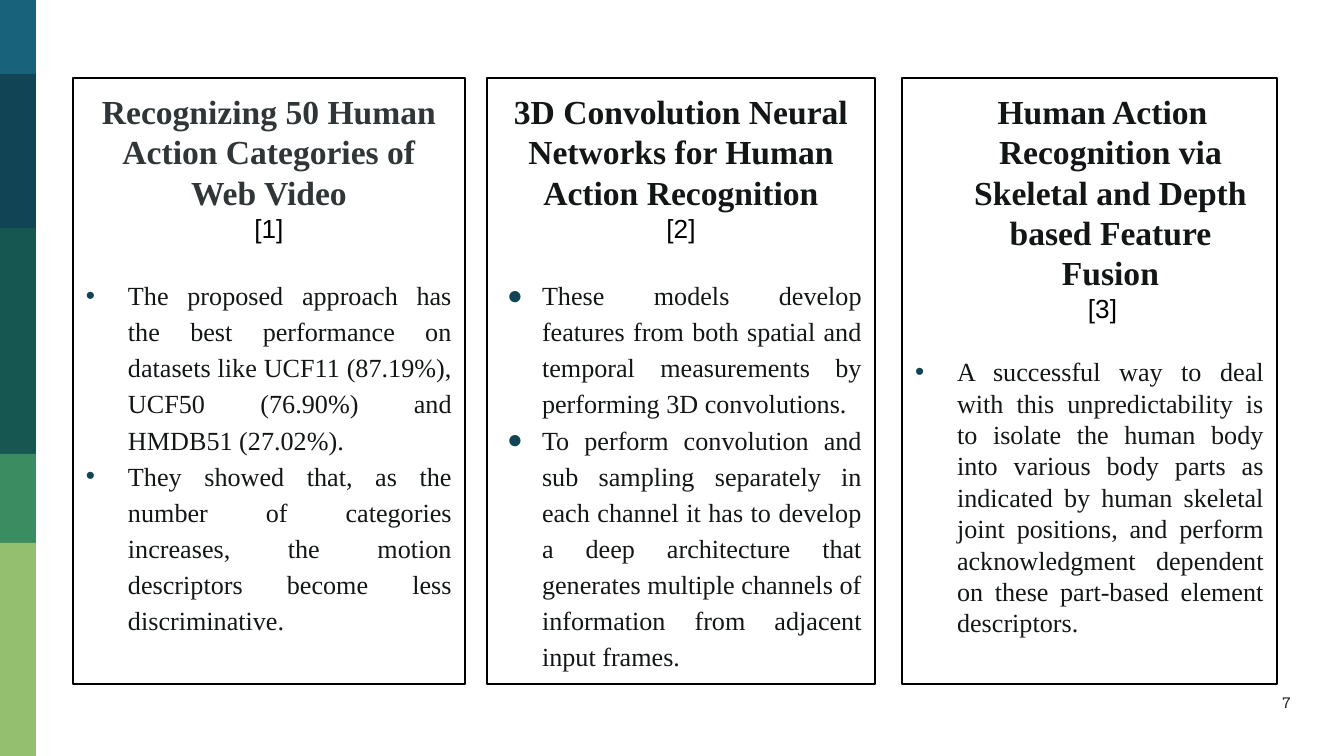
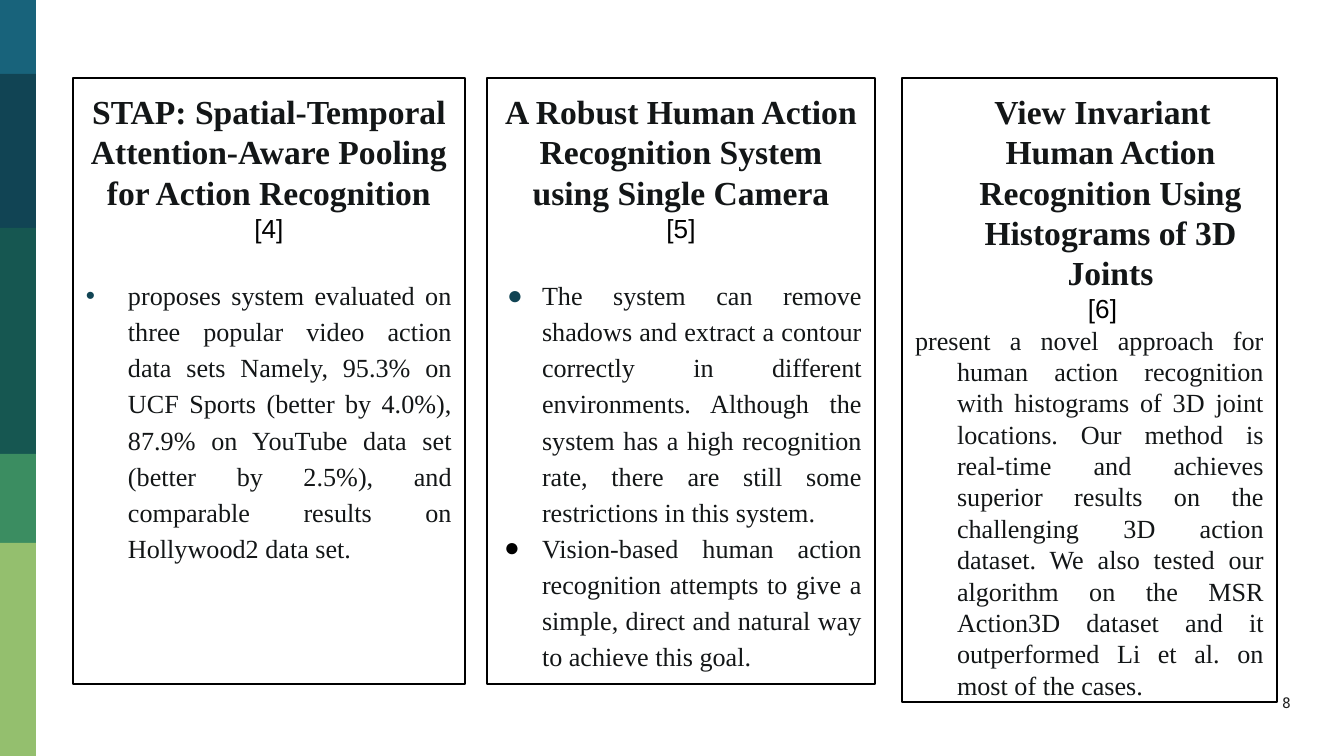
import pptx
import pptx.util
import pptx.dml.color
import pptx.enum.shapes
import pptx.enum.text
import lxml.etree
from dataclasses import dataclass

RGB = pptx.dml.color.RGBColor
ALIGN = pptx.enum.text.PP_ALIGN

EMU_PER_PX = 914400 / 134.4
PAGE_WIDTH, PAGE_HEIGHT = 1344, 756

BLACK = RGB(0x00, 0x00, 0x00)
INK = RGB(0x13, 0x16, 0x17)
SLATE = RGB(0x30, 0x36, 0x38)
NUMBER_GREY = RGB(0x22, 0x22, 0x22)
NAVY = RGB(0x11, 0x44, 0x54)

# Side bands: top edge and colour; each runs down to the next
BAND_WIDTH = 36
BANDS = [
    (0, RGB(0x18, 0x63, 0x7B)),
    (74, NAVY),
    (228, RGB(0x16, 0x57, 0x51)),
    (454, RGB(0x3B, 0x8D, 0x61)),
    (543, RGB(0x94, 0xBF, 0x6E)),
]

# Paper columns: left edge, width, first-line indent of the heading, line spacing
CARD_TOP, CARD_HEIGHT, INSET, HANG = 78, 606, 13, 42
COLUMNS = [(73, 392, 0, 1.15), (487, 388, 0, 1.15), (902, 375, -16, 1.0)]


@dataclass
class Point:
    text: str
    bullet: str = "•"
    indent: int = -HANG
    color: RGB = NAVY


@dataclass
class Paper:
    title: str
    points: list
    title_color: RGB = INK
    height: int = CARD_HEIGHT


def px(length):
    return pptx.util.Emu(round(length * EMU_PER_PX))


class Deck:
    def __init__(self):
        self.deck = pptx.Presentation()
        self.deck.slide_width = px(PAGE_WIDTH)
        self.deck.slide_height = px(PAGE_HEIGHT)
        self.page = None

    def add_page(self):
        self.page = self.deck.slides.add_slide(self.deck.slide_layouts[6])
        bottoms = [top for top, _ in BANDS[1:]] + [PAGE_HEIGHT]
        for (top, color), bottom in zip(BANDS, bottoms):
            band = self.rectangle(0, top, BAND_WIDTH, bottom - top)
            band.fill.solid()
            band.fill.fore_color.rgb = color
            band.line.fill.background()

    def rectangle(self, left, top, width, height):
        box = self.page.shapes.add_shape(
            pptx.enum.shapes.MSO_SHAPE.RECTANGLE,
            px(left), px(top), px(width), px(height))
        box.shadow.inherit = False
        return box

    def prepare(self, frame):
        frame.word_wrap = True
        frame.vertical_anchor = pptx.enum.text.MSO_ANCHOR.TOP
        frame.margin_left = frame.margin_right = px(INSET)
        frame.margin_top = frame.margin_bottom = px(INSET)

    def set_text(self, para, text, size, font, color, align=ALIGN.CENTER, bold=False):
        para.text = text
        para.alignment = align
        para.font.size = pptx.util.Pt(size)
        para.font.name = font
        para.font.bold = bold
        para.font.color.rgb = color

    def indent(self, para, first_line):
        if first_line:
            properties = para._p.get_or_add_pPr()
            properties.set("marL", str(px(HANG)))
            properties.set("indent", str(px(first_line)))

    def bullet(self, para, character, color):
        properties = para._p.get_or_add_pPr()
        drawing = properties.nsmap["a"]

        def add(parent, tag, **attributes):
            return lxml.etree.SubElement(parent, f"{{{drawing}}}{tag}", **attributes)

        add(add(properties, "buClr"), "srgbClr", val=str(color))
        add(properties, "buFont", typeface="Arial")
        add(properties, "buChar", char=character)

    def card(self, column, paper, reference):
        left, width, heading_indent, spacing = column
        box = self.rectangle(left, CARD_TOP, width, paper.height)
        box.fill.background()
        box.line.color.rgb = BLACK
        box.line.width = pptx.util.Pt(0.75)
        frame = box.text_frame
        self.prepare(frame)

        # Heading and reference number
        heading, citation = frame.paragraphs[0], frame.add_paragraph()
        for para in (heading, citation):
            self.indent(para, heading_indent)
        self.set_text(heading, paper.title, 18, "Times New Roman", paper.title_color, bold=True)
        self.set_text(citation, f"[{reference}]", 14, "Arial", BLACK)

        # Findings
        for position, point in enumerate(paper.points):
            para = frame.add_paragraph()
            self.indent(para, point.indent)
            if point.bullet:
                self.bullet(para, point.bullet, point.color)
                if position == 0:
                    para.space_before = pptx.util.Pt(17)
            para.line_spacing = spacing
            self.set_text(para, point.text, 14, "Times New Roman", INK, ALIGN.JUSTIFY)

    def page_number(self, number):
        box = self.page.shapes.add_textbox(px(1246), px(685), px(81), px(58))
        self.prepare(box.text_frame)
        self.set_text(box.text_frame.paragraphs[0], str(number), 8, "Roboto Slab", NUMBER_GREY)


PAGES = [
    [
        Paper("Recognizing 50 Human Action Categories of Web Video", [
            Point("The proposed approach has the best performance on datasets like "
                  "UCF11 (87.19%), UCF50 (76.90%) and HMDB51 (27.02%)."),
            Point("They showed that, as the number of categories increases, the motion "
                  "descriptors become less discriminative."),
        ], title_color=SLATE),
        Paper("3D Convolution Neural Networks for Human Action Recognition", [
            Point("These models develop features from both spatial and temporal "
                  "measurements by performing 3D convolutions.", "●", -35),
            Point("To perform convolution and sub sampling separately in each channel it "
                  "has to develop a deep architecture that generates multiple channels of "
                  "information from adjacent input frames.", "●", -35),
        ]),
        Paper("Human Action Recognition via Skeletal and Depth based Feature Fusion", [
            Point("A successful way to deal with this unpredictability is to isolate the "
                  "human body into various body parts as indicated by human skeletal joint "
                  "positions, and perform acknowledgment dependent on these part-based "
                  "element descriptors."),
        ]),
    ],
    [
        Paper("STAP: Spatial-Temporal Attention-Aware Pooling for Action Recognition", [
            Point("proposes system evaluated on three popular video action data sets "
                  "Namely, 95.3% on UCF Sports (better by 4.0%), 87.9% on YouTube data set "
                  "(better by 2.5%), and comparable results on Hollywood2 data set."),
        ]),
        Paper("A Robust Human Action Recognition System using Single Camera", [
            Point("The system can remove shadows and extract a contour correctly in "
                  "different environments. Although the system has a high recognition "
                  "rate, there are still some restrictions in this system.", "●", -35),
            Point("Vision-based human action recognition attempts to give a simple, direct "
                  "and natural way to achieve this goal.", "●", -38, BLACK),
        ]),
        Paper("View Invariant Human Action Recognition Using Histograms of 3D Joints", [
            Point("present a novel approach for human action recognition with histograms "
                  "of 3D joint locations. Our method is real-time and achieves superior "
                  "results on the challenging 3D action dataset. We also tested our "
                  "algorithm on the MSR Action3D dataset and it outperformed Li et al. on "
                  "most of the cases.", bullet=""),
        ], height=624),
    ],
]


def main():
    deck = Deck()
    reference = 1
    for number, papers in enumerate(PAGES, start=7):
        deck.add_page()
        for column, paper in zip(COLUMNS, papers):
            deck.card(column, paper, reference)
            reference += 1
        deck.page_number(number)
    deck.deck.save("out.pptx")


if __name__ == "__main__":
    main()
